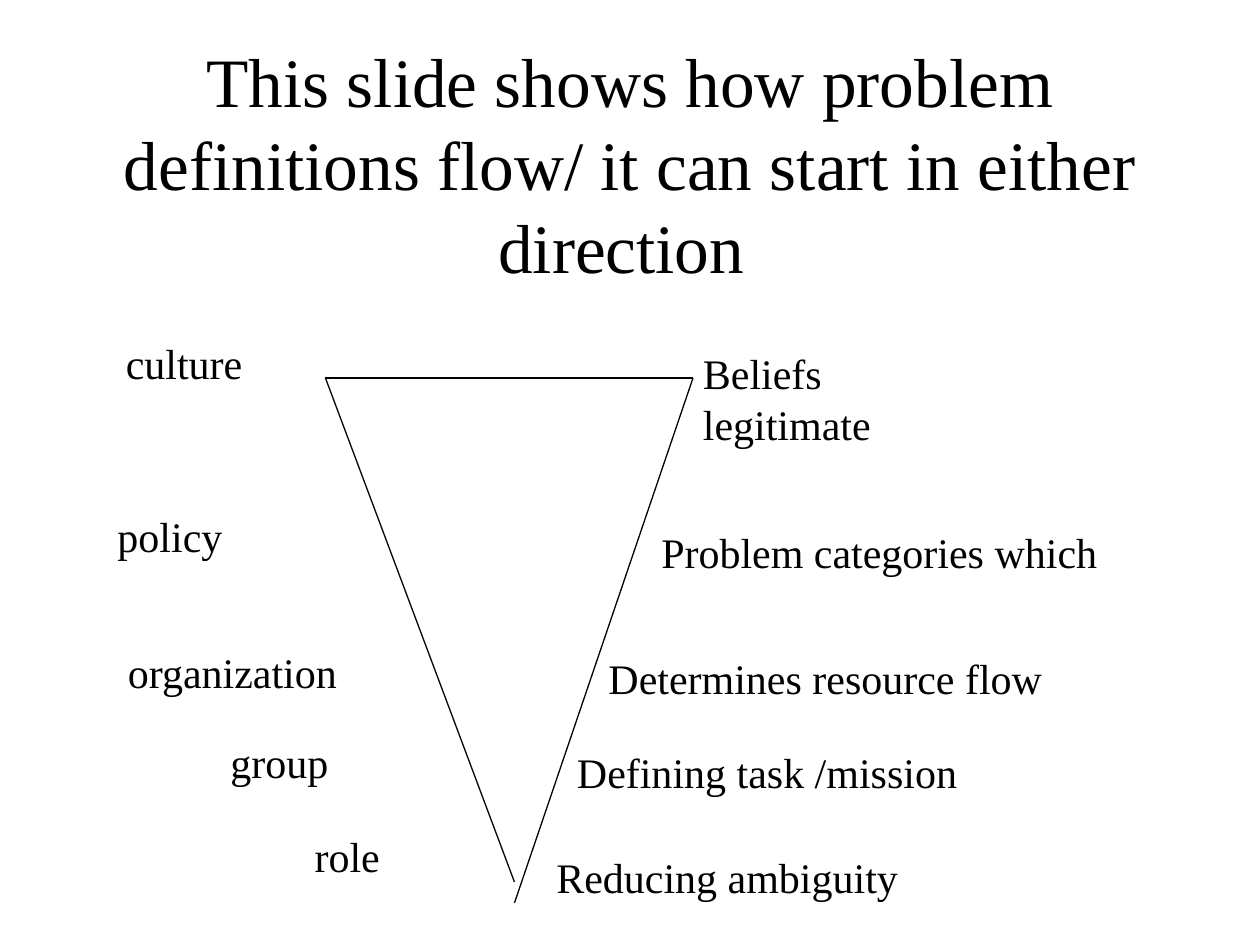
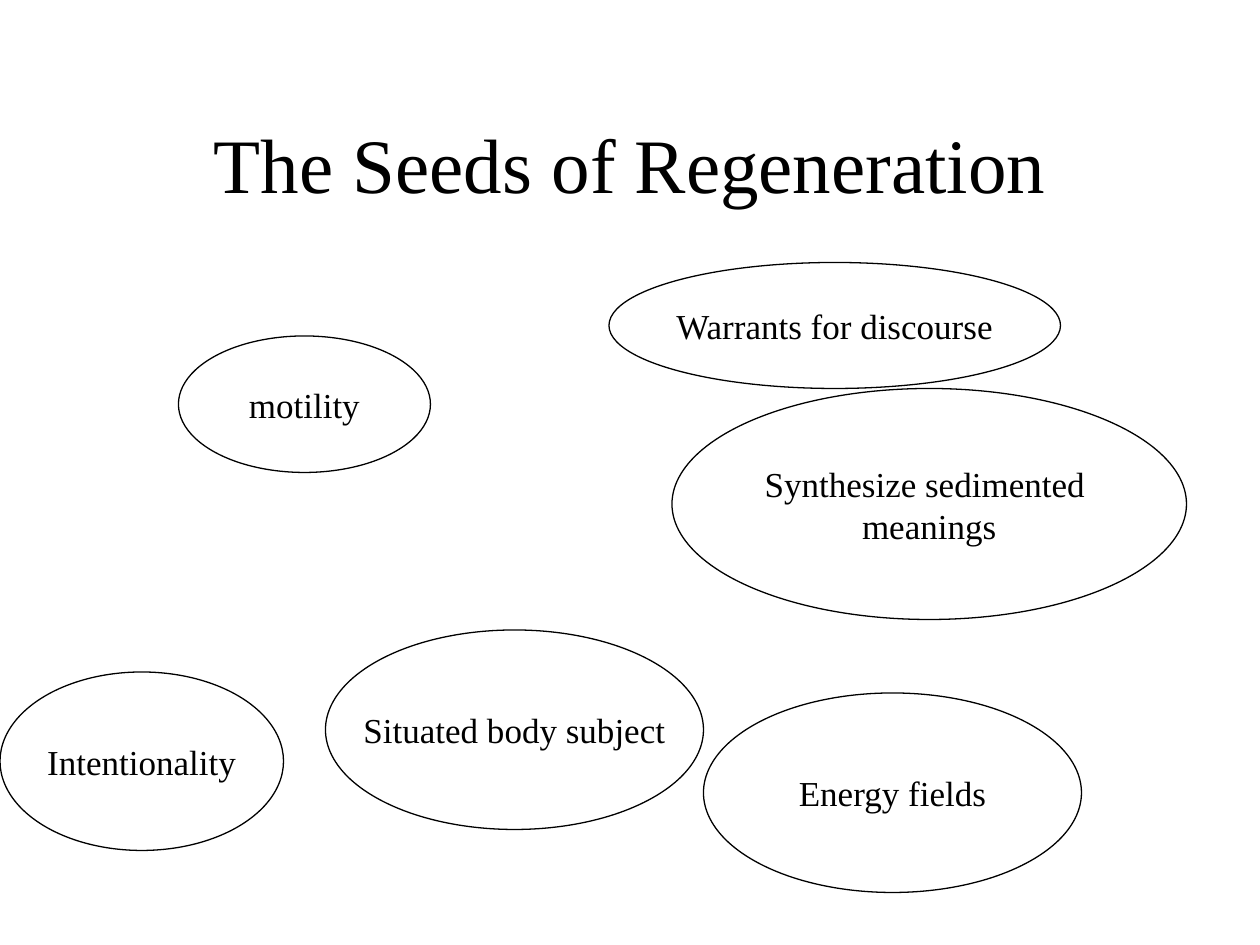
"""Build two slides: how problem definitions flow, and the seeds of regeneration."""
from lxml.etree import SubElement
from pptx import Presentation
from pptx.dml.color import RGBColor
from pptx.enum.shapes import MSO_CONNECTOR, MSO_SHAPE
from pptx.enum.text import MSO_ANCHOR, MSO_AUTO_SIZE, PP_ALIGN
from pptx.oxml.ns import qn
from pptx.util import Pt

FLOW_TITLE = "This slide shows how problem definitions flow/ it can start in either direction "
FLOW_LABELS = [
    ("Beliefs legitimate", 394.6, 195.2, 150),
    ("Problem categories which", 370.8, 297.5, 268),
    ("Determines resource flow", 340.6, 369.5, 267),
    ("Defining task /mission", 322.6, 423.2, 236),
    ("Reducing ambiguity", 310.8, 483, 214),
    ("culture", 64.8, 189.5, 86),
    ("policy", 60, 288, 79),
    ("organization", 66, 366, 139),
    ("group", 124.6, 417.5, 75),
    ("role", 172.7, 471.3, 56),
]
FUNNEL_LINES = [
    ((186, 216), (396, 216)),
    ((186, 216), (294, 504)),
    ((396, 216), (294, 516)),
]

SEEDS_TITLE = "The Seeds of Regeneration"
SEEDS = [
    (["motility"], 102, 192, 144, 78),
    (["Synthesize sedimented ", "meanings"], 384, 222, 294, 132),
    (["Intentionality"], 0, 384, 162, 102),
    (["Situated body subject"], 186, 360, 216, 114),
    (["Energy fields"], 402, 396, 216, 114),
    (["Warrants for discourse"], 348, 150, 258, 72),
]

FONT = "Times New Roman"
INK = "000000"
PAPER = "FFFFFF"
LINE_WIDTH = 0.75
TITLE_BOX = (54, 48, 612, 90)
LABEL_HEIGHT = 36


def color(value):
    return RGBColor.from_string(value)


def points(*values):
    return [Pt(value) for value in values]


def write(frame, lines, size, alignment, anchor, wrap=True):
    frame.word_wrap = wrap
    frame.vertical_anchor = anchor
    for index, line in enumerate(lines):
        paragraph = frame.add_paragraph() if index else frame.paragraphs[0]
        paragraph.alignment = alignment
        run = paragraph.add_run()
        run.text = line
        run.font.name = FONT
        run.font.size = Pt(size)
        run.font.color.rgb = color(INK)


def draw_outline(line):
    line.color.rgb = color(INK)
    line.width = Pt(LINE_WIDTH)


def add_titled_slide(presentation, text, size):
    slide = presentation.slides.add_slide(presentation.slide_layouts[5])
    slide.background.fill.solid()
    slide.background.fill.fore_color.rgb = color(PAPER)
    title = slide.shapes.title
    title.left, title.top, title.width, title.height = points(*TITLE_BOX)
    title.text_frame.auto_size = MSO_AUTO_SIZE.NONE
    write(title.text_frame, [text], size, PP_ALIGN.CENTER, MSO_ANCHOR.MIDDLE)
    return slide


def add_label(slide, text, left, top, width):
    label = slide.shapes.add_textbox(*points(left, top, width, LABEL_HEIGHT))
    label.text_frame.auto_size = MSO_AUTO_SIZE.SHAPE_TO_FIT_TEXT
    write(label.text_frame, [text], 24, PP_ALIGN.LEFT, MSO_ANCHOR.TOP)


def add_line(slide, start, end):
    connector = slide.shapes.add_connector(MSO_CONNECTOR.STRAIGHT, *points(*start, *end))
    draw_outline(connector.line)
    SubElement(connector.element.spPr, qn("a:effectLst"))


def add_seed(slide, lines, *box):
    seed = slide.shapes.add_shape(MSO_SHAPE.OVAL, *points(*box))
    seed.shadow.inherit = False
    seed.fill.background()
    draw_outline(seed.line)
    write(seed.text_frame, lines, 20, PP_ALIGN.CENTER, MSO_ANCHOR.MIDDLE, wrap=False)


def main():
    presentation = Presentation()
    presentation.slide_width, presentation.slide_height = points(720, 540)

    flow_slide = add_titled_slide(presentation, FLOW_TITLE, 39.6)
    for start, end in FUNNEL_LINES:
        add_line(flow_slide, start, end)
    for label in FLOW_LABELS:
        add_label(flow_slide, *label)

    seeds_slide = add_titled_slide(presentation, SEEDS_TITLE, 44)
    for seed in SEEDS:
        add_seed(seeds_slide, *seed)

    presentation.save("out.pptx")


if __name__ == "__main__":
    main()
